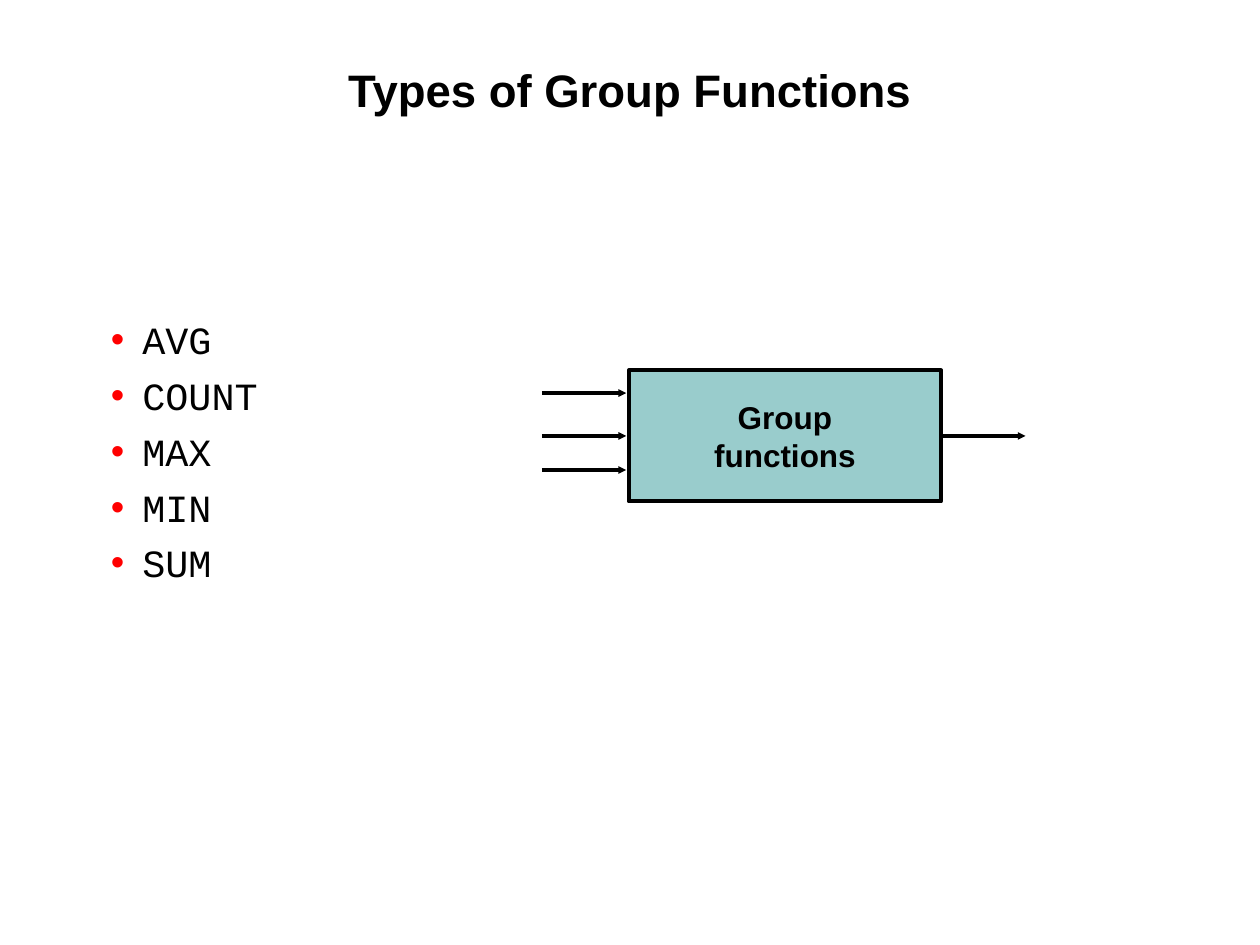
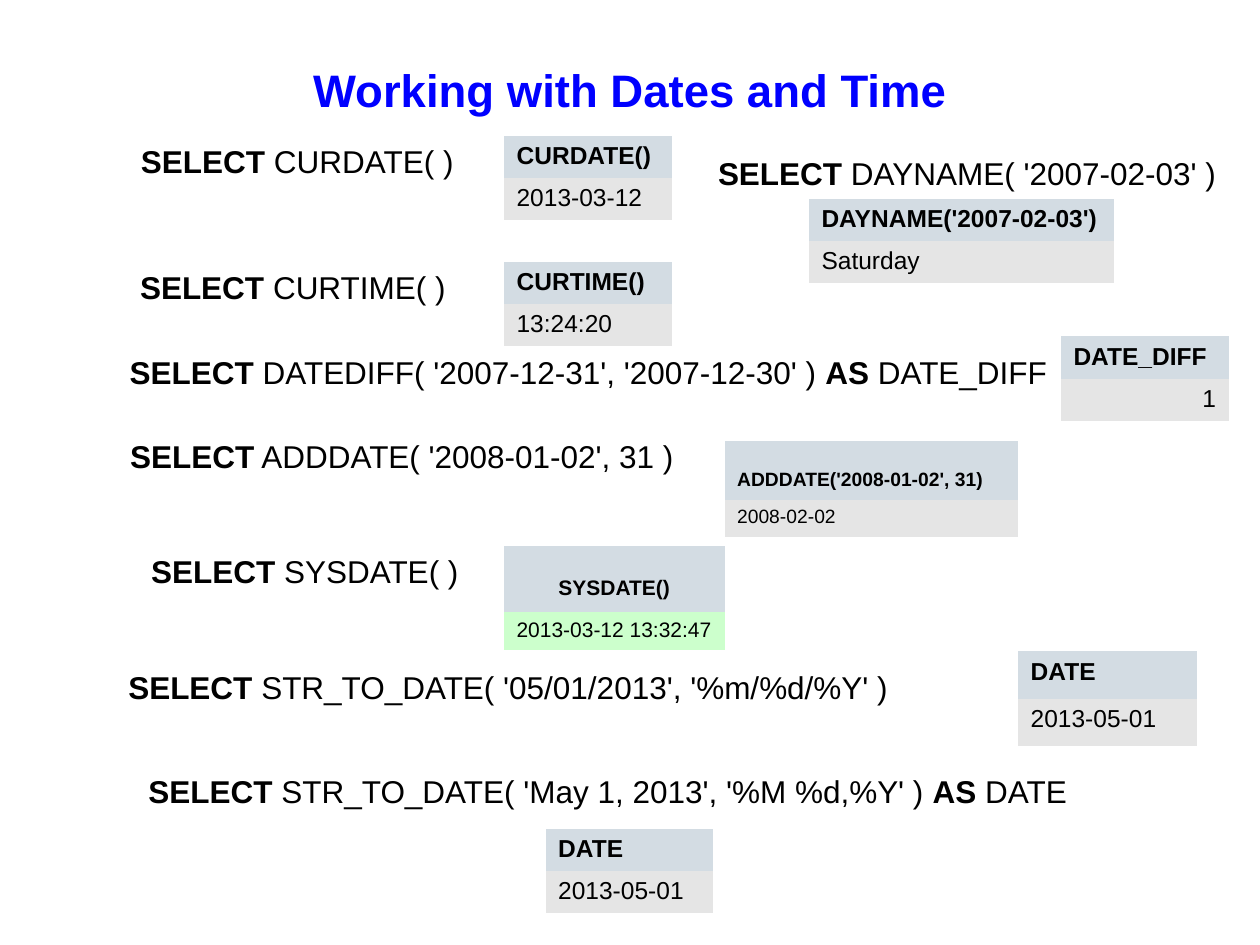
from dataclasses import dataclass

from lxml import etree
from pptx import Presentation
from pptx.dml.color import RGBColor as RGB
from pptx.enum.shapes import MSO_CONNECTOR as CONN, MSO_SHAPE as SHAPE
from pptx.enum.text import MSO_ANCHOR as ANCHOR, MSO_AUTO_SIZE as AUTO, PP_ALIGN as ALIGN
from pptx.oxml.ns import qn
from pptx.util import Inches, Pt


@dataclass(frozen=True)
class Theme:
    sans: str = "Arial"
    mono: str = "Courier New"
    black: str = "000000"
    blue: str = "0000FF"
    bullet: str = "FF0000"
    teal: str = "99CCCC"
    head: str = "D3DCE3"
    result: str = "E5E5E5"
    fresh: str = "CCFFCC"
    title_size: int = 26
    list_size: int = 22
    text_size: int = 18
    cell_size: int = 14
    line: float = 2.25


T = Theme()
NO_STYLE = "{2D5ABB26-0587-4C30-8999-92F81FD0307C}"


def inches(*values):
    return [Inches(v) for v in values]


def place(sp, box):
    for name, value in zip(("left", "top", "width", "height"), inches(*box)):
        setattr(sp, name, value)


def style(font, size, color=T.black, name=T.sans, bold=False):
    for key, value in {"size": Pt(size), "name": name, "bold": bold}.items():
        setattr(font, key, value)
    font.color.rgb = RGB.from_string(color)


def set_frame(tf, margins, wrap=True, anchor=ANCHOR.TOP):
    left, top, right, bottom = inches(*margins)
    values = {"margin_left": left, "margin_top": top, "margin_right": right,
              "margin_bottom": bottom, "word_wrap": wrap,
              "auto_size": AUTO.NONE, "vertical_anchor": anchor}
    for key, value in values.items():
        setattr(tf, key, value)


def add_title(slide, text, height, color=T.black):
    sp = slide.shapes.title
    place(sp, (0.67, 0.48, 8.66, height))
    set_frame(sp.text_frame, [0.01] * 4)
    p = sp.text_frame.paragraphs[0]
    p.text = text
    p.alignment = ALIGN.CENTER
    style(p.runs[0].font, T.title_size, color, bold=True)


def add_function_list(slide, box, names):
    sp = slide.placeholders[1]
    place(sp, box)
    tf = sp.text_frame
    set_frame(tf, [0.01] * 4)
    for i, name in enumerate(names):
        p = tf.paragraphs[0] if i == 0 else tf.add_paragraph()
        p.text = name
        p.level = 1
        p.space_before = Pt(5.5 if i else 0)
        pPr = p._p.get_or_add_pPr()
        pPr.set("marL", str(Inches(0.37)))
        pPr.set("indent", str(Inches(-0.25)))
        color = etree.SubElement(pPr, qn("a:buClr"))
        etree.SubElement(color, qn("a:srgbClr"), val=T.bullet)
        etree.SubElement(pPr, qn("a:buFont"), typeface=T.sans)
        etree.SubElement(pPr, qn("a:buChar"), char="•")
        style(p.runs[0].font, T.list_size, name=T.mono)


def add_arrow(slide, x, y, length):
    c = slide.shapes.add_connector(CONN.STRAIGHT, *inches(x, y, x + length, y))
    c.line.color.rgb = RGB.from_string(T.black)
    c.line.width = Pt(T.line)
    etree.SubElement(c.line._get_or_add_ln(), qn("a:tailEnd"),
                     type="triangle", w="sm", len="sm")
    etree.SubElement(c._element.spPr, qn("a:effectLst"))


def add_function_diagram(slide, box):
    """Draw three inputs entering the labelled box and one output leaving it."""
    left, top, width, height = box
    stub, gap = 0.67, 0.02
    sp = slide.shapes.add_shape(SHAPE.RECTANGLE, *inches(*box))
    sp.shadow.inherit = False
    sp.fill.solid()
    sp.fill.fore_color.rgb = RGB.from_string(T.teal)
    sp.line.color.rgb = RGB.from_string(T.black)
    sp.line.width = Pt(T.line)
    tf = sp.text_frame
    set_frame(tf, (0.1, 0.05, 0.1, 0.05), wrap=False, anchor=ANCHOR.MIDDLE)
    tf.text = "Group\nfunctions"
    for p in tf.paragraphs:
        p.alignment = ALIGN.CENTER
        style(p.runs[0].font, T.text_size, bold=True)
    middle = height / 2
    for y in (0.18, middle, 0.79):
        add_arrow(slide, left - gap - stub, top + y, stub)
    add_arrow(slide, left + width, top + middle, stub)


def add_query(slide, box, query, wrap=False, align=ALIGN.CENTER):
    """Write one SQL query; the parts between asterisks are bold."""
    sp = slide.shapes.add_textbox(*inches(*box))
    set_frame(sp.text_frame, (0.1, 0.05, 0.1, 0.05), wrap=wrap)
    p = sp.text_frame.paragraphs[0]
    p.alignment = align
    for i, part in enumerate(query.split("*")):
        if part:
            r = p.add_run()
            r.text = part
            style(r.font, T.text_size, bold=i % 2 == 1)


def add_result(slide, left, top, width, head, value, rows=(0.335, 0.335),
               size=T.cell_size, fill=T.result, lowered=False,
               aligns=(ALIGN.LEFT, ALIGN.LEFT)):
    """Add a one-column result table; a lowered heading sits one line down."""
    frame = slide.shapes.add_table(2, 1, *inches(left, top, width, sum(rows)))
    table = frame.table
    table.first_row = table.horz_banding = False
    table._tbl.tblPr.find(qn("a:tableStyleId")).text = NO_STYLE
    drops = (size * 1.15 / 72 if lowered else 0, 0)
    for i, (text, color) in enumerate(((head, T.head), (value, fill))):
        table.rows[i].height = Inches(rows[i])
        cell = table.cell(i, 0)
        cell.fill.solid()
        cell.fill.fore_color.rgb = RGB.from_string(color)
        cell.margin_top = Inches(0.05 + drops[i])
        p = cell.text_frame.paragraphs[0]
        p.text = text
        p.alignment = aligns[i]
        style(p.runs[0].font, size, bold=i == 0)


def build_group_functions(prs):
    slide = prs.slides.add_slide(prs.slide_layouts[1])
    add_title(slide, "Types of Group Functions", 0.96)
    add_function_list(slide, (0.75, 2.5, 3.58, 2.18),
                      ("AVG", "COUNT", "MAX", "MIN", "SUM"))
    add_function_diagram(slide, (4.99, 2.94, 2.48, 1.04))


def build_dates(prs):
    slide = prs.slides.add_slide(prs.slide_layouts[5])
    add_title(slide, "Working with Dates and Time", 0.52, T.blue)
    wrapped = {"wrap": True}
    flush = {"wrap": True, "align": ALIGN.LEFT}
    queries = (
        ((1.01, 1.08, 2.7, 0.4), "*SELECT* CURDATE( )", {}),
        ((1.01, 2.08, 2.63, 0.4), "*SELECT* CURTIME( )", {}),
        ((0.92, 2.75, 7.5, 0.7),
         "*SELECT* DATEDIFF( '2007-12-31', '2007-12-30' ) *AS* DATE_DIFF", wrapped),
        ((0.92, 3.42, 4.54, 0.4), "*SELECT* ADDDATE( '2008-01-02', 31 )", {}),
        ((1.09, 4.33, 2.66, 0.4), "*SELECT* SYSDATE( )", {}),
        ((0.92, 5.25, 7, 0.4),
         "*SELECT* STR_TO_DATE( '05/01/2013', '%m/%d/%Y' )", flush),
        ((1.08, 6.08, 8, 0.4),
         "*SELECT* STR_TO_DATE( 'May 1, 2013', '%M %d,%Y' ) *AS* DATE", flush),
        ((5.59, 1.17, 4.17, 0.4), "*SELECT* DAYNAME( '2007-02-03' )", {}),
    )
    for box, query, options in queries:
        add_query(slide, box, query, **options)

    results = (
        (4, 1.08, 1.33, "CURDATE()", "2013-03-12", {}),
        (4, 2.08, 1.33, "CURTIME()", "13:24:20", {}),
        (8.42, 2.67, 1.33, "DATE_DIFF", "1", {"aligns": (ALIGN.LEFT, ALIGN.RIGHT)}),
        (5.75, 3.5, 2.33, "ADDDATE('2008-01-02', 31)", "2008-02-02",
         {"rows": (0.47, 0.29), "size": 11, "lowered": True}),
        (4, 4.33, 1.75, "SYSDATE()", "2013-03-12 13:32:47",
         {"rows": (0.53, 0.3), "size": 12, "lowered": True, "fill": T.fresh,
          "aligns": (ALIGN.CENTER, ALIGN.LEFT)}),
        (8.08, 5.17, 1.42, "DATE", "2013-05-01", {"rows": (0.38, 0.37)}),
        (4.33, 6.58, 1.33, "DATE", "2013-05-01", {}),
        (6.42, 1.58, 2.42, "DAYNAME('2007-02-03')", "Saturday", {}),
    )
    for left, top, width, head, value, options in results:
        add_result(slide, left, top, width, head, value, **options)


def main():
    prs = Presentation()
    prs.slide_width, prs.slide_height = inches(10, 7.5)
    build_group_functions(prs)
    build_dates(prs)
    prs.save("out.pptx")


if __name__ == "__main__":
    main()
